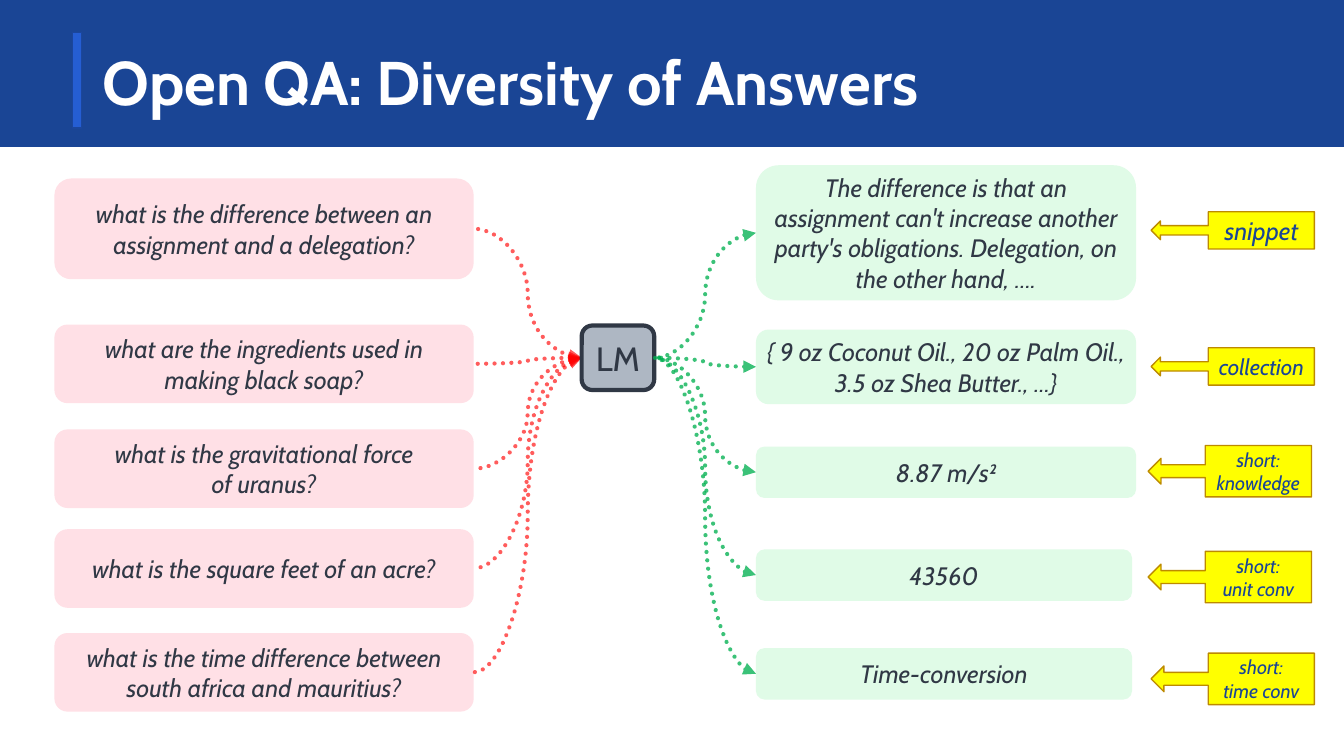
from pptx import Presentation
from pptx.dml.color import RGBColor as RGB
from pptx.enum.dml import MSO_LINE as Dash
from pptx.enum.shapes import MSO_CONNECTOR as Link, MSO_SHAPE as Form
from pptx.enum.text import MSO_ANCHOR as Anchor, PP_ALIGN as Align
from pptx.oxml.ns import qn
from pptx.util import Inches, Pt
from lxml.etree import SubElement as Sub

NAVY = RGB(0x1A, 0x45, 0x95)
BLUE = RGB(0x25, 0x5E, 0xD3)
EDGE = RGB(0x1B, 0x46, 0x9C)
WHITE = RGB(0xFF, 0xFF, 0xFF)
INK = RGB(0x30, 0x38, 0x45)
PINK = RGB(0xFF, 0xE0, 0xE6)
MINT = RGB(0xE0, 0xFB, 0xE7)
GREY = RGB(0xAE, 0xB7, 0xC3)
RED = RGB(0xFF, 0x00, 0x00)
GREEN = RGB(0x00, 0xB0, 0x50)
GOLD = RGB(0xFF, 0xFF, 0x00)
BROWN = RGB(0xBD, 0x8A, 0x00)

HUB_IN, HUB_OUT, HUB_MID = 43.28, 48.68, 47.33
ASK_LEFT, ASK_WIDE = 4.05, 31.2
REPLY_LEFT = 56.25
TAG_WIDE = 12.15

ASKS = [
    (30.27, 13.33, "what is the difference between an assignment and a delegation?"),
    (48.13, 10.4, "what are the ingredients used in making black soap?"),
    (62, 10.4, "what is the gravitational force\nof uranus?"),
    (75.2, 10.4, "what is the square feet of an acre?"),
    (88.93, 10.4, "what is the time difference between south africa and mauritius?"),
]
REPLIES = [
    (30.8, 28.28, 17.87, "The difference is that an assignment can't increase another "
     "party's obligations. Delegation, on the other hand, ….", 0.1),
    (48.53, 28.28, 9.87, "{ 9 oz Coconut Oil., 20 oz Palm Oil., 3.5 oz Shea Butter., ...}", 0),
    (62.47, 28.28, 6.8, "8.87 m/s²", 0.1),
    (76.07, 27.98, 6.8, "43560", 0.1),
    (89.13, 27.98, 6.8, "Time-conversion", 0.1),
]
TAGS = [
    (85.65, 30.47, 4.93, "snippet", 18, 0.1),
    (85.65, 48.47, 4.93, "collection", 16, 0.1),
    (85.43, 62.33, 6.8, "short: knowledge", 14, 0),
    (85.43, 76.33, 6.8, "short:\vunit conv", 14, 0),
    (85.65, 89.8, 6.8, "short:\vtime conv", 14, 0),
]


class Board:
    face = "Cabin"

    def __init__(self, deck):
        self.col = deck.slide_width / 100
        self.row = deck.slide_height / 100
        self.shapes = deck.slides.add_slide(deck.slide_layouts[6]).shapes

    def area(self, x, y, w, h):
        return [int(n * u) for n, u in zip((x, y, w, h), (self.col, self.row) * 2)]

    def label(self, box, text, size, ink, bold=False, slant=False,
              align=Align.CENTER, pad=0.1, space=None):
        frame = box.text_frame
        frame.text = text
        frame.word_wrap = True
        frame.vertical_anchor = Anchor.MIDDLE
        frame.margin_left = frame.margin_right = Inches(pad)
        for para in frame.paragraphs:
            para.alignment = align
            para.line_spacing = space
            for run in para.runs:
                font = run.font
                font.name, font.size = self.face, Pt(size)
                font.bold, font.italic = bold, slant
                font.color.rgb = ink

    def title(self, text, *place):
        box = self.shapes.add_textbox(*self.area(*place))
        self.label(box, text, 44, WHITE, bold=True, align=Align.LEFT, space=0.9)

    def block(self, form, place, fill, edge=None, thick=1):
        box = self.shapes.add_shape(form, *self.area(*place))
        box.shadow.inherit = False
        box.fill.solid()
        box.fill.fore_color.rgb = fill
        if edge is None:
            box.line.fill.background()
        else:
            box.line.color.rgb = edge
            box.line.width = Pt(thick)
        return box

    def card(self, x, mid, w, h, fill, text, pad=0.1):
        box = self.block(Form.ROUNDED_RECTANGLE, (x, mid - h / 2, w, h), fill)
        self.label(box, text, 18, INK, slant=True, pad=pad)

    def tag(self, x, mid, h, text, size, pad):
        place = (x, mid - h / 2, TAG_WIDE, h)
        box = self.block(Form.LEFT_ARROW_CALLOUT, place, GOLD, BROWN)
        self.label(box, text, size, NAVY, slant=True, pad=pad)

    def curve(self, tip, end, ink, alpha):
        wire = self.shapes.add_connector(Link.CURVE, *self.area(*tip, *end))
        wire.line.color.rgb = ink
        wire.line.width = Pt(3)
        wire.line.dash_style = Dash.ROUND_DOT
        props = wire._element.spPr
        line = props.find(qn("a:ln"))
        line.set("cap", "rnd")
        tint = line.find(qn("a:solidFill"))[0]
        Sub(tint, qn("a:alpha")).set("val", str(alpha * 1000))
        Sub(line, qn("a:headEnd")).set("type", "triangle")
        Sub(props, qn("a:effectLst"))


def main():
    deck = Presentation()
    deck.slide_width, deck.slide_height = Inches(13.33), Inches(7.5)
    board = Board(deck)
    board.block(Form.RECTANGLE, (0, 0, 100, 19.33), NAVY, NAVY)
    board.block(Form.RECTANGLE, (5.4, 4.27, 0.68, 12.67), BLUE, EDGE)
    board.title("Open QA: Diversity of Answers", 6.9, 4.27, 86.25, 14)

    for mid, tall, text in ASKS:
        board.card(ASK_LEFT, mid, ASK_WIDE, tall, PINK, text)
        board.curve((HUB_IN, HUB_MID), (ASK_LEFT + ASK_WIDE, mid), RED, 64)

    hub = board.block(Form.ROUNDED_RECTANGLE,
                      (HUB_IN, HUB_MID - 4.27, HUB_OUT - HUB_IN, 8.53), GREY, INK, 3)
    board.label(hub, "LM", 24, INK)

    for mid, wide, tall, text, pad in REPLIES:
        board.card(REPLY_LEFT, mid, wide, tall, MINT, text, pad)
        board.curve((REPLY_LEFT, mid), (HUB_OUT, HUB_MID), GREEN, 76)

    for tag in TAGS:
        board.tag(*tag)
    deck.save("out.pptx")


if __name__ == "__main__":
    main()
